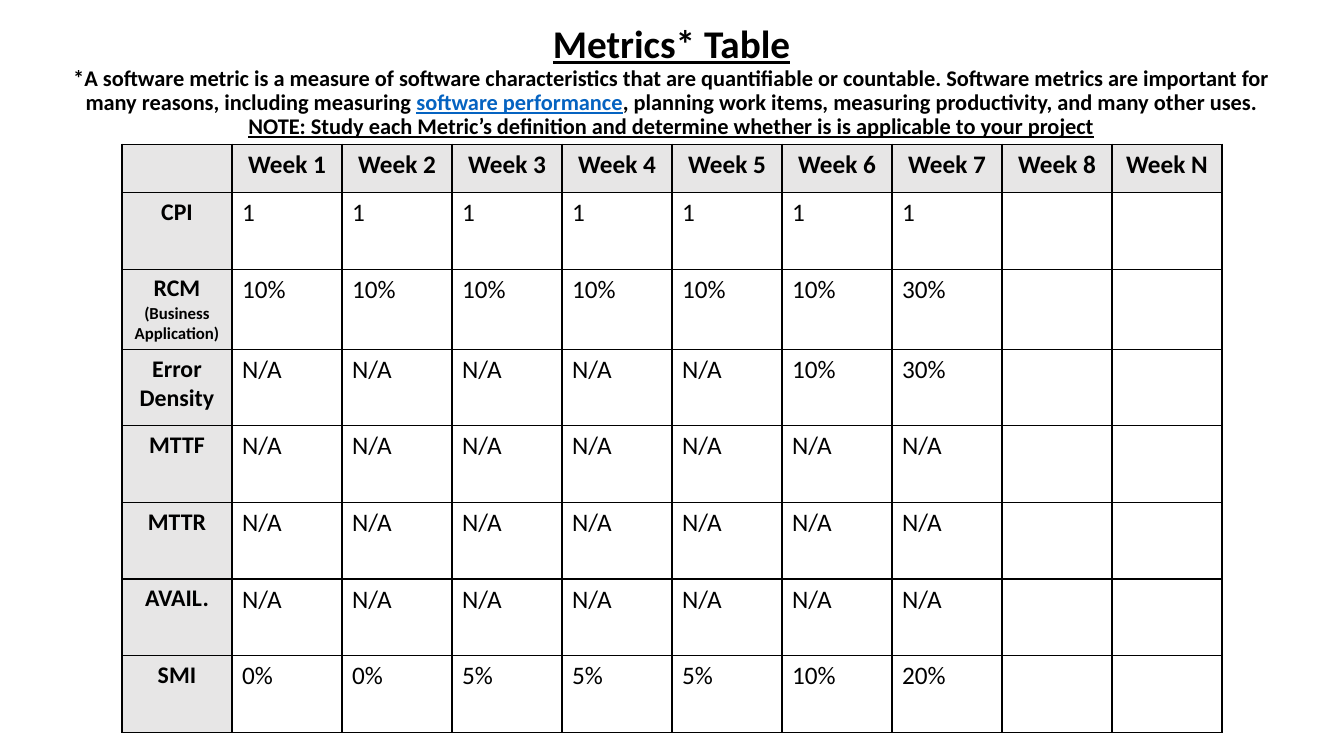
import pptx
import pptx.dml.color
import pptx.enum.text
import pptx.oxml
import pptx.oxml.ns
import pptx.util
from pptx.util import Inches

COLORS = {"ink": "000000", "link": "0563C1", "head": "E7E6E6"}
WEEKS = ["Week 1", "Week 2", "Week 3", "Week 4", "Week 5", "Week 6", "Week 7", "Week 8", "Week N"]
METRICS = [
    ("CPI", ["1"] * 7),
    ("RCM\n(Business Application)", ["10%"] * 6 + ["30%"]),
    ("Error Density", ["N/A"] * 5 + ["10%", "30%"]),
    ("MTTF", ["N/A"] * 7),
    ("MTTR", ["N/A"] * 7),
    ("AVAIL.", ["N/A"] * 7),
    ("SMI", ["0%", "0%", "5%", "5%", "5%", "10%", "20%"]),
]
INTRO = [
    ("Metrics* Table", 28, "ink", True, True),
    ("*A software metric is a measure of software characteristics that are quantifiable or countable. "
     "Software metrics are important for many reasons, including measuring ", 16, "ink", False, False),
    ("software performance", 16, "link", True, False),
    (", planning work items, measuring productivity, and many other uses.", 16, "ink", False, True),
    ("NOTE: Study each Metric’s definition and determine whether is is applicable to your project",
     16, "ink", True, False),
]


def rgb(name):
    """Return the named colour."""
    return pptx.dml.color.RGBColor.from_string(COLORS[name])


def style(font, size, bold, color="ink"):
    """Set the look of a font."""
    font.name = "Calibri"
    font.size = pptx.util.Pt(size)
    font.bold = bold
    font.color.rgb = rgb(color)


def add_title(slide, left, top, width, height):
    """Fill the title with the heading, definition and note."""
    title = slide.shapes.title
    title.left, title.top, title.width, title.height = left, top, width, height
    frame = title.text_frame
    frame.word_wrap = True
    frame.auto_size = pptx.enum.text.MSO_AUTO_SIZE.NONE
    frame.vertical_anchor = pptx.enum.text.MSO_ANCHOR.MIDDLE
    para = frame.paragraphs[0]
    para.alignment = pptx.enum.text.PP_ALIGN.CENTER
    para.line_spacing = 0.9
    style(para.font, 16, True)
    for text, size, color, under, last in INTRO:
        run = para.add_run()
        run.text = text
        style(run.font, size, True, color)
        run.font.underline = under
        if last:
            para.add_line_break()


def add_edges(cell):
    """Draw a thin line on each side of a cell."""
    props = cell._tc.get_or_add_tcPr()
    for side in "LRTB":
        props.append(pptx.oxml.parse_xml(
            f'<a:ln{side} {pptx.oxml.ns.nsdecls("a")} w="12700"><a:solidFill>'
            f'<a:srgbClr val="{COLORS["ink"]}"/></a:solidFill></a:ln{side}>'))


def fill_cell(cell, text, head, size):
    """Write one cell as a heading or a value."""
    add_edges(cell)
    if head:
        cell.fill.solid()
        cell.fill.fore_color.rgb = rgb("head")
    else:
        cell.fill.background()
    cell.text_frame.text = text
    for index, para in enumerate(cell.text_frame.paragraphs):
        if head:
            para.alignment = pptx.enum.text.PP_ALIGN.CENTER
        style(para.font, 12 if index else size, head)


def add_grid(slide, left, top, width, height):
    """Build the table of metrics by week."""
    rows = [("", WEEKS)] + METRICS
    count = len(WEEKS) + 1
    table = slide.shapes.add_table(len(rows), count, left, top, width, height).table
    table.first_row = table.horz_banding = False
    for column in table.columns:
        column.width = int(width / count)
    first = Inches(0.48)
    for row, (name, values) in enumerate(rows):
        table.rows[row].height = int((height - first) / len(METRICS)) if row else first
        cells = [name] + values + [""] * (len(WEEKS) - len(values))
        for col, text in enumerate(cells):
            size = 17 if row and col == 0 else 18
            fill_cell(table.cell(row, col), text, row == 0 or col == 0, size)


def main():
    """Build and save the slide."""
    deck = pptx.Presentation()
    deck.slide_width, deck.slide_height = Inches(13.33), Inches(7.5)
    slide = deck.slides.add_slide(deck.slide_layouts[5])
    add_title(slide, Inches(0.44), Inches(0.09), Inches(12.44), Inches(1.45))
    add_grid(slide, Inches(1.21), Inches(1.43), Inches(10.91), Inches(5.8))
    deck.save("out.pptx")


if __name__ == "__main__":
    main()
